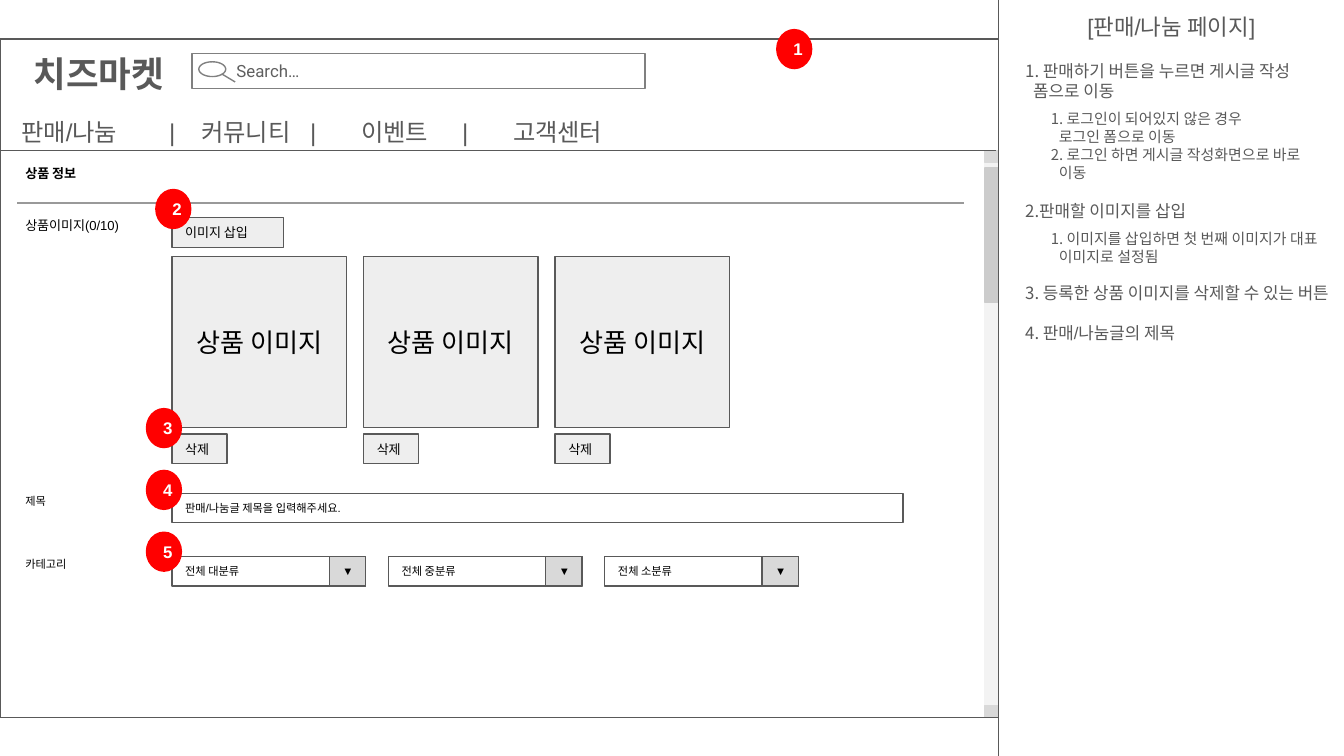
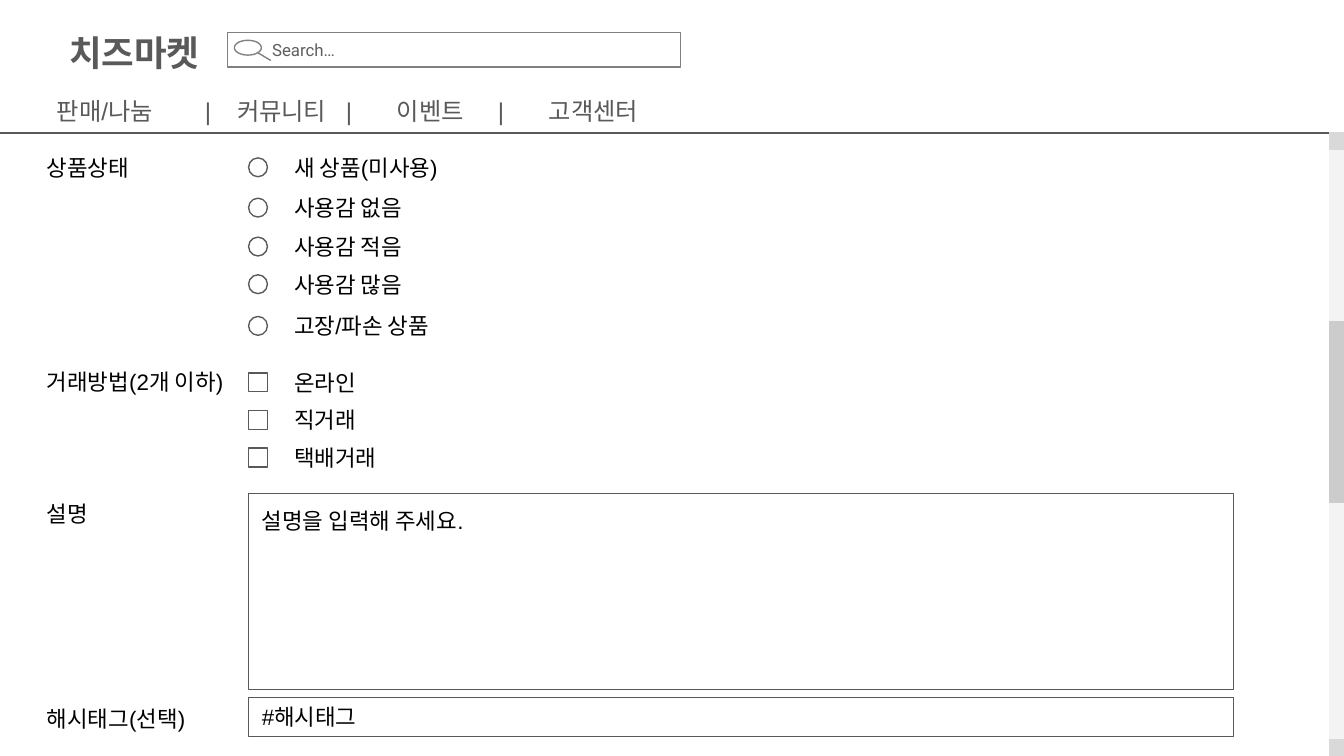
from math import cos, pi, sin

from lxml.etree import SubElement
from pptx import Presentation
from pptx.dml.color import RGBColor
from pptx.enum.shapes import MSO_CONNECTOR, MSO_SHAPE as SHAPE
from pptx.enum.text import MSO_ANCHOR as ANCHOR, MSO_AUTO_SIZE as FIT, PP_ALIGN as ALIGN
from pptx.oxml.ns import qn
from pptx.util import Inches, Pt

COLUMNS, ROWS = 100, 56.25  # square cells, a tenth of an inch each
COLORS = {
    "white": "FFFFFF", "black": "000000", "ink": "595959", "search": "5F5F5F",
    "outline": "808080", "rule": "999999", "panel": "EEEEEE", "track": "F3F3F3",
    "cap": "D9D9D9", "thumb": "CCCCCC", "marker": "FF0000",
}
INSET = 1
BRAND = "치즈마켓"
MENU = "판매/나눔\t|\t커뮤니티\t|\t이벤트\t|\t고객센터"
MENU_STOPS = (11, 13.4, 21.5, 25.3, 32.8, 36.6)

# level, space before in points, text
GUIDE = [
    (0, 11, " 판매하기 버튼을 누르면 게시글 작성 폼으로 이동"),
    (1, 4.5, " 로그인이 되어있지 않은 경우\n로그인 폼으로 이동"),
    (1, 0, " 로그인 하면 게시글 작성화면으로 바로 이동"),
    (0, 10.5, "판매할 이미지를 삽입"),
    (1, 4.5, " 이미지를 삽입하면 첫 번째 이미지가 대표 이미지로 설정됨"),
    (0, 9.5, " 등록한 상품 이미지를 삭제할 수 있는 버튼"),
    (0, 10.5, " 판매/나눔글의 제목"),
]
GUIDE_LEVELS = ((1.6, 9), (3.5, 8))  # left margin in columns, text size
GUIDE_HANG = 0.6

MARKERS = [(11.6, 14.1), (10.9, 30.4), (10.9, 35), (10.9, 39.6)]
STATES = [(11, "새 상품(미사용)"), (14, "사용감 없음"), (16.9, "사용감 적음"),
          (19.7, "사용감 많음"), (22.8, "고장/파손 상품")]
METHODS = [(27, "온라인"), (29.8, "직거래"), (32.6, "택배거래")]


class Wireframe:
    """Draws page elements on the current slide; lengths are grid cells."""

    def __init__(self):
        self.deck = Presentation()
        self.deck.slide_width = Inches(10)
        self.deck.slide_height = Inches(5.625)
        self.page = None

    def cells(self, *lengths):
        return [round(self.deck.slide_width * length / COLUMNS) for length in lengths]

    def add_page(self):
        self.page = self.deck.slides.add_slide(self.deck.slide_layouts[5])

    def style_paragraph(self, para, size, color="black", bold=False, align=ALIGN.LEFT,
                        font="Arial"):
        para.alignment = align
        para.font.name = font
        para.font.size = Pt(size)
        para.font.bold = bold
        para.font.color.rgb = RGBColor.from_string(COLORS[color])

    def set_text(self, shape, text, size, anchor=ANCHOR.TOP, insets=(INSET,) * 4, **style):
        frame = shape.text_frame
        frame.word_wrap = True
        frame.vertical_anchor = anchor
        (frame.margin_left, frame.margin_top,
         frame.margin_right, frame.margin_bottom) = self.cells(*insets)
        para = frame.paragraphs[0]
        para.text = text
        self.style_paragraph(para, size, **style)
        return frame

    def paint(self, shape, fill, line):
        shape.shadow.inherit = False
        if fill:
            shape.fill.solid()
            shape.fill.fore_color.rgb = RGBColor.from_string(COLORS[fill])
        else:
            shape.fill.background()
        if line:
            shape.line.color.rgb = RGBColor.from_string(COLORS[line])
            shape.line.width = Pt(0.75)
        else:
            shape.line.fill.background()

    def box(self, left, top, width, height, fill="white", line="ink", kind=SHAPE.RECTANGLE):
        shape = self.page.shapes.add_shape(kind, *self.cells(left, top, width, height))
        self.paint(shape, fill, line)
        return shape

    def field(self, left, top, width, height, text, size, fill="white", line="ink",
              kind=SHAPE.RECTANGLE, anchor=ANCHOR.MIDDLE, **style):
        """Box with text in it."""
        shape = self.box(left, top, width, height, fill, line, kind)
        self.set_text(shape, text, size, anchor, **style)

    def label(self, left, top, width, height, text, size, fit=FIT.SHAPE_TO_FIT_TEXT, **style):
        shape = self.page.shapes.add_textbox(*self.cells(left, top, width, height))
        frame = self.set_text(shape, text, size, **style)
        frame.auto_size = fit
        return frame

    def line(self, start, end, color="ink"):
        line = self.page.shapes.add_connector(
            MSO_CONNECTOR.STRAIGHT, *self.cells(*start, *end))
        line.line.color.rgb = RGBColor.from_string(COLORS[color])
        line.line.width = Pt(0.75)
        SubElement(line._element.spPr, qn("a:effectLst"))

    def marker(self, left, top, number):
        self.field(left, top, 2.6, 2.9, str(number), 9, "marker", "marker", SHAPE.OVAL,
                   color="white", bold=True, align=ALIGN.CENTER)

    def magnifier(self, left, top):
        steps = 48
        rim = [self.cells(left + 1 + cos(2 * pi * step / steps),
                          top + 0.55 + 0.55 * sin(2 * pi * step / steps))
               for step in range(steps)]
        outline = self.page.shapes.build_freeform(*self.cells(left + 1.7, top + 0.9))
        outline.add_line_segments([self.cells(left + 2.7, top + 1.5)], close=False)
        outline.move_to(*rim[0])
        outline.add_line_segments(rim[1:], close=True)
        self.paint(outline.convert_to_shape(), "white", "outline")

    def header(self, left, top):
        """Shop name, menu and search field, placed from the name's corner."""
        title = self.page.shapes.title
        title.left, title.top, title.width, title.height = self.cells(left, top, 14.7, 5.2)
        self.set_text(title, BRAND, 19, color="ink", bold=True,
                      align=ALIGN.CENTER).auto_size = FIT.SHAPE_TO_FIT_TEXT
        menu = self.label(left + 0.6, top + 4.85, 51.1, 3, MENU, 13, FIT.NONE, color="ink")
        properties = menu.paragraphs[0]._p.pPr
        stops = SubElement(properties, qn("a:tabLst"))
        properties.find(qn("a:defRPr")).addprevious(stops)
        for stop in self.cells(*MENU_STOPS):
            SubElement(stops, qn("a:tab"), pos=str(stop), algn="l")
        self.field(left + 14.3, top + 1.1, 33.7, 2.6, "Search…", 9, line="outline",
                   insets=(3.3, 0.6, 1, 0.6), color="search", font="Roboto")
        self.magnifier(left + 14.8, top + 1.7)

    def scrollbar(self, left, top, bottom, width, cap, thumb_top, thumb_height):
        for color, start, height in (
                ("track", top, bottom - top), ("cap", top, cap),
                ("cap", bottom - cap, cap), ("thumb", thumb_top, thumb_height)):
            self.box(left, start, width, height, color, color)

    def guide(self, left, title, items):
        """Side panel with a numbered two-level list."""
        frame = self.label(left, 0, COLUMNS - left, ROWS, title, 12, FIT.NONE,
                           color="ink", align=ALIGN.CENTER)
        for level, gap, text in items:
            margin, size = GUIDE_LEVELS[level]
            para = frame.add_paragraph()
            para.text = text
            para.level = level
            self.style_paragraph(para, size, "ink")
            para.space_before = Pt(gap)
            properties = para._p.pPr
            margin, hang = self.cells(margin, -GUIDE_HANG)
            properties.set("marL", str(margin))
            properties.set("indent", str(hang))
            number = SubElement(properties, qn("a:buAutoNum"), type="arabicPeriod")
            properties.find(qn("a:defRPr")).addprevious(number)


def draw_product_page(sketch):
    sketch.add_page()
    sketch.header(0, 2.9)
    sketch.guide(74.3, "[판매/나눔 페이지]", GUIDE)
    sketch.scrollbar(73.3, 11.2, 53.4, 0.95, 0.9, 12.5, 10)
    sketch.box(0, 2.9, 74.3, 50.5, fill=None)
    sketch.line((0, 11.2), (74.1, 11.2))
    sketch.line((74.3, 0), (74.3, ROWS))

    sketch.label(0.9, 11.7, 10.1, 3.2, "상품 정보", 7, bold=True)
    sketch.line((1.3, 15.1), (71.7, 15.1), "rule")
    for top, text, size in ((15.6, "상품이미지(0/10)", 7), (36.3, "제목", 6),
                            (41, "카테고리", 6)):
        sketch.label(0.9, top, 14.4, 3, text, size)

    left = 12.8
    sketch.field(left, 16.2, 8.3, 2.2, "이미지 삽입", 7, "panel")
    for index in range(3):
        card_left = left + 14.25 * index
        sketch.field(card_left, 19.1, 13, 12.7, "상품 이미지", 14, "panel",
                     align=ALIGN.CENTER)
        sketch.field(card_left, 32.3, 4.1, 2.2, "삭제", 7, "panel")
    sketch.field(left, 36.7, 54.4, 2.2, "판매/나눔글 제목을 입력해주세요.", 6)
    for index, text in enumerate(("전체 대분류", "전체 중분류", "전체 소분류")):
        list_left = left + 16.1 * index
        sketch.field(list_left, 41.4, 14.4, 2.2, text, 6)
        sketch.field(list_left + 11.7, 41.4, 2.7, 2.2, "▼", 6, "cap")

    for number, (marker_left, top) in enumerate(MARKERS, 2):
        sketch.marker(marker_left, top, number)
    sketch.marker(57.8, 2.2, 1)


def draw_details_page(sketch):
    sketch.add_page()
    sketch.line((0, 9.9), (99.9, 9.9))
    sketch.scrollbar(98.9, 9.9, ROWS, 1.1, 1.2, 23.9, 13.5)
    for top, text in ((10.5, "상품상태"), (26.4, "거래방법(2개 이하)"),
                      (36.2, "설명"), (51.5, "해시태그(선택)")):
        sketch.label(2.5, top, 19.4, 4, text, 12)

    left = 18.5
    for kind, options in ((SHAPE.OVAL, STATES), (SHAPE.RECTANGLE, METHODS)):
        for top, text in options:
            sketch.field(20.9, top, 70.9, 2.9, text, 12, line=None)
            sketch.box(left, top + 0.75, 1.4, 1.4, kind=kind)
    sketch.field(left, 36.7, 73.3, 14.6, "설명을 입력해 주세요.", 12, anchor=ANCHOR.TOP)
    sketch.field(left, 51.9, 73.3, 2.9, "#해시태그", 12)
    sketch.header(2.65, 1.3)


def main():
    sketch = Wireframe()
    draw_product_page(sketch)
    draw_details_page(sketch)
    sketch.deck.save("out.pptx")


if __name__ == "__main__":
    main()
